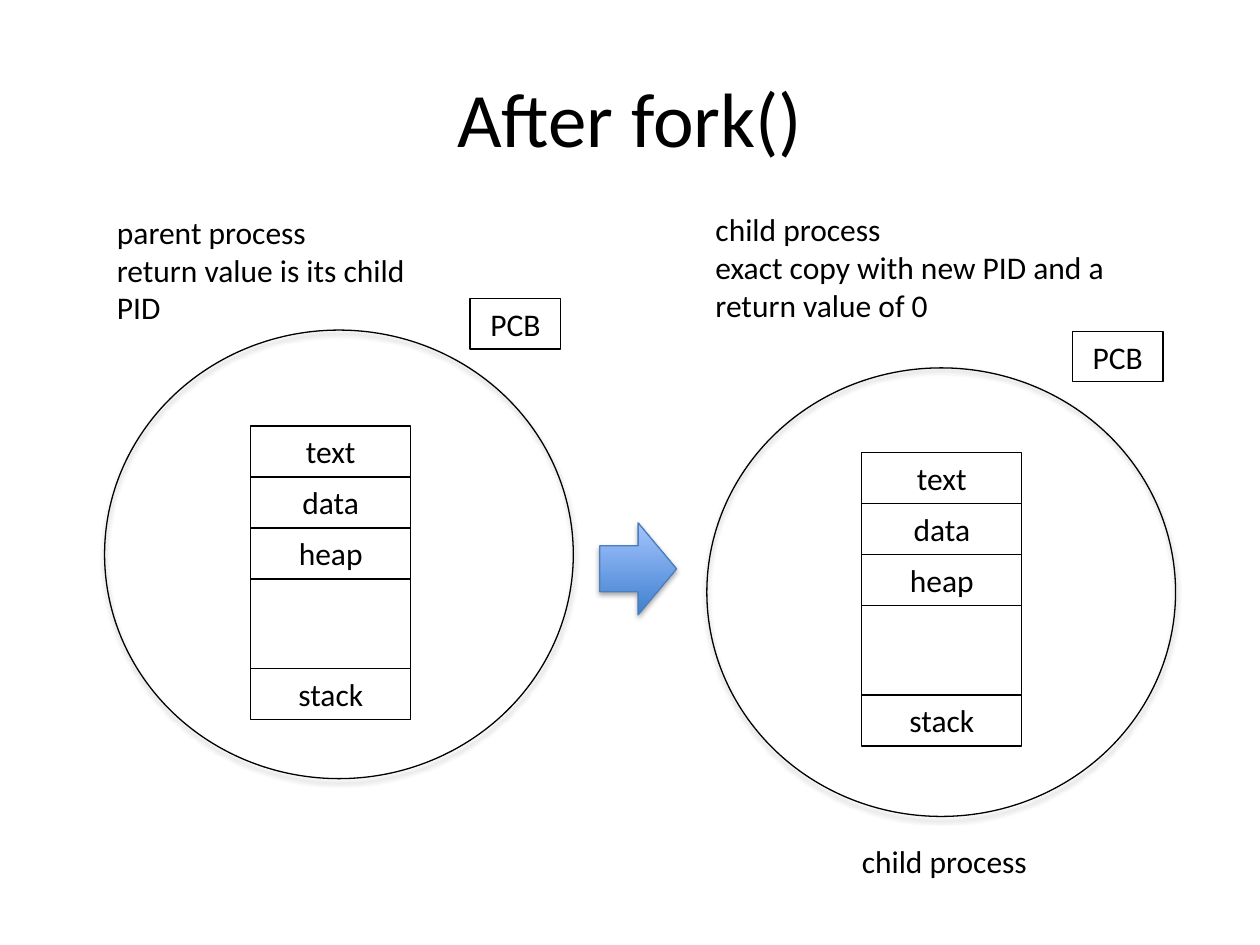
from dataclasses import dataclass
from typing import Optional

from lxml.etree import SubElement
from pptx import Presentation
from pptx.dml.color import RGBColor
from pptx.enum.shapes import MSO_SHAPE as Geometry
from pptx.enum.text import MSO_ANCHOR as Anchor, PP_ALIGN as Align
from pptx.oxml.ns import qn
from pptx.util import Inches, Pt

COLORS = {
    "ink": "000000",
    "arrow_dark": "3F80CE",
    "arrow_light": "A4C4FF",
    "arrow_line": "4B7EBC",
}
FONT = "Calibri"
BOX_HEIGHT = 0.4
ROW_HEIGHT = 0.81 / 2
SEGMENTS = [("text", ROW_HEIGHT), ("data", ROW_HEIGHT), ("heap", ROW_HEIGHT),
            ("", 0.71), ("stack", ROW_HEIGHT)]


@dataclass(frozen=True)
class Box:
    left: float
    top: float
    width: float
    height: float

    def lengths(self):
        return [Inches(n) for n in (self.left, self.top, self.width, self.height)]


@dataclass(frozen=True)
class Process:
    circle: Box
    control_block: Box
    memory_left: float
    memory_top: float


@dataclass(frozen=True)
class Label:
    box: Box
    lines: tuple
    align: Align = Align.LEFT


PROCESSES = [
    Process(Box(0.83, 2.62, 3.72, 3.56), Box(3.73, 2.37, 0.72, BOX_HEIGHT), 1.99, 3.38),
    Process(Box(5.61, 2.92, 3.72, 3.56), Box(8.51, 2.63, 0.72, BOX_HEIGHT), 6.84, 3.59),
]
LABELS = [
    Label(Box(5.58, 1.62, 3.82, 1.01),
          ("child process", "exact copy with new PID and a return value of 0")),
    Label(Box(0.83, 1.64, 2.73, 1.01),
          ("parent process", "return value is its child PID")),
    Label(Box(6.64, 6.63, 1.71, BOX_HEIGHT), ("child process",), Align.CENTER),
]


def color(name: str) -> RGBColor:
    return RGBColor.from_string(COLORS[name])


def write(frame, lines: tuple, size: int = 18, align: Align = Align.CENTER,
          anchor: Anchor = Anchor.TOP) -> None:
    """Fill a text frame with one paragraph, broken into the given lines."""
    frame.word_wrap = True
    frame.vertical_anchor = anchor
    paragraph = frame.paragraphs[0]
    paragraph.alignment = align
    for index, line in enumerate(lines):
        if index:
            paragraph.add_line_break()
        run = paragraph.add_run()
        run.text = line
        run.font.name = FONT
        run.font.size = Pt(size)
        run.font.color.rgb = color("ink")


def add_outline(slide, geometry: Geometry, box: Box, text: Optional[str] = None,
                line: str = "ink"):
    shape = slide.shapes.add_shape(geometry, *box.lengths())
    shape.shadow.inherit = False
    shape.fill.background()
    shape.line.color.rgb = color(line)
    shape.line.width = Pt(0.75)
    if text:
        write(shape.text_frame, (text,))
    return shape


def add_soft_shadow(shape) -> None:
    effects = shape._element.spPr.find(qn("a:effectLst"))
    shadow = SubElement(effects, qn("a:outerShdw"), blurRad=str(Pt(3.1)),
                        dist=str(Pt(1.8)), dir="5400000", rotWithShape="0")
    tint = SubElement(shadow, qn("a:srgbClr"), val=COLORS["ink"])
    SubElement(tint, qn("a:alpha"), val="35000")


def add_process(slide, process: Process) -> None:
    add_soft_shadow(add_outline(slide, Geometry.OVAL, process.circle))
    add_outline(slide, Geometry.RECTANGLE, process.control_block, "PCB")
    top = process.memory_top
    for name, height in SEGMENTS:
        box = Box(process.memory_left, top, 1.27, height)
        add_outline(slide, Geometry.RECTANGLE, box, name)
        top += height


def add_fork_arrow(slide) -> None:
    arrow = add_outline(slide, Geometry.RIGHT_ARROW, Box(4.76, 4.15, 0.61, 0.73),
                        line="arrow_line")
    arrow.fill.gradient()
    arrow.fill.gradient_angle = 90
    stops = zip(arrow.fill.gradient_stops, ("arrow_dark", "arrow_light"), (0, 1))
    for stop, name, position in stops:
        stop.color.rgb = color(name)
        stop.position = position
    add_soft_shadow(arrow)


def add_label(slide, label: Label) -> None:
    text_box = slide.shapes.add_textbox(*label.box.lengths())
    write(text_box.text_frame, label.lines, align=label.align)


def main() -> None:
    presentation = Presentation()
    presentation.slide_width, presentation.slide_height = Inches(10), Inches(7.5)
    slide = presentation.slides.add_slide(presentation.slide_layouts[5])
    title = slide.shapes.title
    title.left, title.top, title.width, title.height = Box(0.5, 0.3, 9, 1.25).lengths()
    write(title.text_frame, ("After fork()",), size=44, anchor=Anchor.MIDDLE)
    for process in PROCESSES:
        add_process(slide, process)
    add_fork_arrow(slide)
    for label in LABELS:
        add_label(slide, label)
    presentation.save("out.pptx")


if __name__ == "__main__":
    main()
